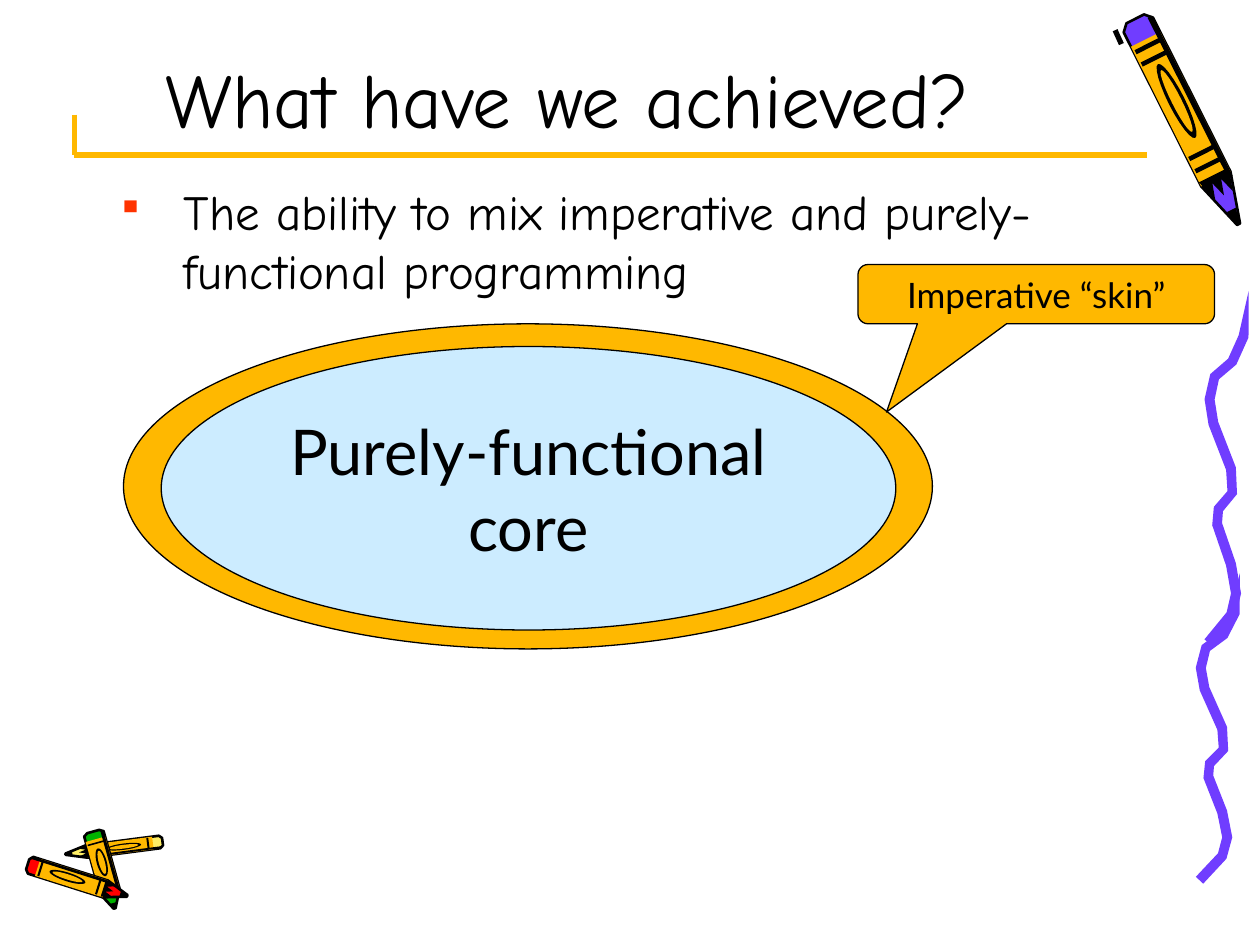
from math import cos, hypot, pi, sin

from lxml import etree
from pptx import Presentation
from pptx.dml.color import RGBColor
from pptx.enum.shapes import MSO_CONNECTOR, MSO_SHAPE
from pptx.enum.text import MSO_ANCHOR, MSO_AUTO_SIZE, PP_ALIGN
from pptx.oxml.ns import qn
from pptx.util import Pt

PX = 9144
LINE = MSO_CONNECTOR.STRAIGHT
OVAL, CALL = MSO_SHAPE.OVAL, MSO_SHAPE.ROUNDED_RECTANGULAR_CALLOUT
TOP, MID, LOW = MSO_ANCHOR.TOP, MSO_ANCHOR.MIDDLE, MSO_ANCHOR.BOTTOM
LEFT, CENTER = PP_ALIGN.LEFT, PP_ALIGN.CENTER
GROW, FIXED = MSO_AUTO_SIZE.SHAPE_TO_FIT_TEXT, MSO_AUTO_SIZE.NONE

HEX = RGBColor.from_string
THEME = {
    "ink": HEX("000000"), "gold": HEX("FFB800"), "sky": HEX("CCECFF"),
    "violet": HEX("703DFF"), "red": HEX("FF0000"), "green": HEX("00B200"),
    "lemon": HEX("FFEF66"), "mark": HEX("FF3300"),
    "hand": "Comic Neue", "sans": "Lato",
    "title": Pt(44), "body": Pt(28), "core": Pt(36), "note": Pt(20),
    "rule": Pt(3), "edge": Pt(0.75),
}


def draw(tone, dots, edge=0):
    first, *rest = [(round(x * PX), round(y * PX)) for x, y in dots]
    pen = shapes.build_freeform(*first, scale=1)
    pen.add_line_segments(rest, close=True)
    piece = pen.convert_to_shape()
    piece.shadow.inherit = False
    piece.fill.solid()
    piece.fill.fore_color.rgb = THEME[tone]
    if edge:
        piece.line.color.rgb = THEME["ink"]
        piece.line.width = Pt(edge)
    else:
        piece.line.fill.background()


def write(shape, text, face, size, align, anchor, fit):
    frame = shape.text_frame
    look = {"word_wrap": True, "vertical_anchor": anchor, "auto_size": fit}
    for key, val in look.items():
        setattr(frame, key, val)
    para = frame.paragraphs[0]
    para.alignment = align
    run = para.add_run()
    run.text = text
    for key, val in {"name": THEME[face], "size": THEME[size]}.items():
        setattr(run.font, key, val)
    run.font.color.rgb = THEME["ink"]
    return para


deck = Presentation()
deck.slide_width, deck.slide_height = 1000 * PX, 750 * PX
slide = deck.slides.add_slide(deck.slide_layouts[6])
shapes = slide.shapes

turns = [2 * pi * i / 24 for i in range(24)]
shell = [(0.03, -1), (0, -0.6), (0, 0.6), (0.03, 1), (0.78, 1), (1, 0.1), (1, -0.1), (0.78, -1)]
wrap = [(0.1, -1), (0.1, 1), (0.78, 1), (0.78, -1)]
shade = [(0.02, 0.7), (0.02, 1), (0.8, 1), (0.8, 0.7)]
nib = [(0.93, -0.3), (0.93, 0.3), (1, 0.1), (1, -0.1)]
teeth = [(0.76, -1), (0.76, 1)]
teeth += [(0.86 if i % 2 else 0.79, 0.9 - 0.3 * i) for i in range(7)]
ring = [(0.4 + 0.18 * cos(a), 0.5 * sin(a)) for a in turns]
hole = [(0.4 + 0.15 * cos(a), 0.3 * sin(a)) for a in turns]

for tone, tail, tip, half, edge, bands in [
    ("lemon", (129, 668), (52, 678), 5, 1.5, [0.14]),
    ("green", (74, 660), (91, 721), 8, 1.5, [0.14]),
    ("red", (22, 686), (101, 711), 7, 1.5, [0.12, 0.7]),
    ("violet", (901, 15), (983, 178), 13, 1.5, [0.12, 0.18, 0.64, 0.7]),
]:
    parts = [(tone, shell, edge), ("gold", wrap, 0), ("ink", shade, 0), ("ink", ring, 0),
             ("gold", hole, 0), ("ink", teeth, 0), ("ink", nib, 0)]
    for at in bands:
        band = [(at, -0.9), (at, 0.8), (at + 0.02, 0.8), (at + 0.02, -0.9)]
        parts.append(("ink", band, 0))
    run, rise = tip[0] - tail[0], tip[1] - tail[1]
    span = hypot(run, rise)
    for fill, dots, width in parts:
        spot = [(tail[0] + run * along + rise / span * half * side,
                 tail[1] + rise * along - run / span * half * side) for along, side in dots]
        draw(fill, spot, width)

spine = [(35, 0), (31, 36), (22, 56), (8, 68), (4, 86), (7, 105), (21, 141), (22, 160),
         (11, 173), (10, 185), (21, 217), (25, 240), (21, 257), (3, 279)]
for left, top, height in [(949, 455, 248), (956, 231, 284)]:
    path = [(left + x, top + y * height / 284) for x, y in spine]
    near, far = [path[0]], [path[0]]
    for before, here, after in zip(path, path[1:], path[2:] + path[-1:]):
        run, rise = after[0] - before[0], after[1] - before[1]
        across, down = 4 * rise / hypot(run, rise), -4 * run / hypot(run, rise)
        near.append((here[0] - across, here[1] - down))
        far.append((here[0] + across, here[1] + down))
    draw("violet", near + far[::-1])

for tone, *ends in [
    ("ink", 885, 24, 890, 35),
    ("gold", 59, 123, 910, 123),
    ("gold", 59, 91, 59, 123),
]:
    rule = shapes.add_connector(LINE, *[n * PX for n in ends])
    rule.line.color.rgb = THEME[tone]
    rule.line.width = THEME["rule"]
    etree.SubElement(rule._element.spPr, qn("a:effectLst"))

title = shapes.add_textbox(*[n * PX for n in (75, 28, 751, 91)])
write(title, "What have we achieved?", "hand", "title", CENTER, LOW, FIXED)

body = shapes.add_textbox(*[n * PX for n in (83, 139, 875, 104)])
point = write(body, "The ability to mix imperative and purely-functional programming",
              "hand", "body", LEFT, TOP, GROW)
point.space_before = Pt(7)
props = point._p.get_or_add_pPr()
for key, val in {"marL": 53 * PX, "indent": -53 * PX}.items():
    props.set(key, str(val))
tint = etree.SubElement(props, qn("a:buClr"))
etree.SubElement(tint, qn("a:srgbClr"), val=str(THEME["mark"]))
etree.SubElement(props, qn("a:buSzPct"), val="75000")
etree.SubElement(props, qn("a:buChar"), char="▪")

for kind, box, tone, words in [
    (OVAL, (98, 257, 642, 258), "gold", None),
    (OVAL, (128, 275, 583, 225), "sky",
     ("Purely-functional core", "sans", "core", CENTER, MID, FIXED)),
    (CALL, (681, 210, 283, 47), "gold",
     ("Imperative “skin”", "sans", "note", CENTER, TOP, GROW)),
]:
    shape = shapes.add_shape(kind, *[n * PX for n in box])
    shape.shadow.inherit = False
    shape.fill.solid()
    shape.fill.fore_color.rgb = THEME[tone]
    shape.line.color.rgb = THEME["ink"]
    shape.line.width = THEME["edge"]
    if kind == CALL:
        for i, val in enumerate((-0.42, 1.99, 0.17)):
            shape.adjustments[i] = val
    if words:
        write(shape, *words)

deck.save("out.pptx")
